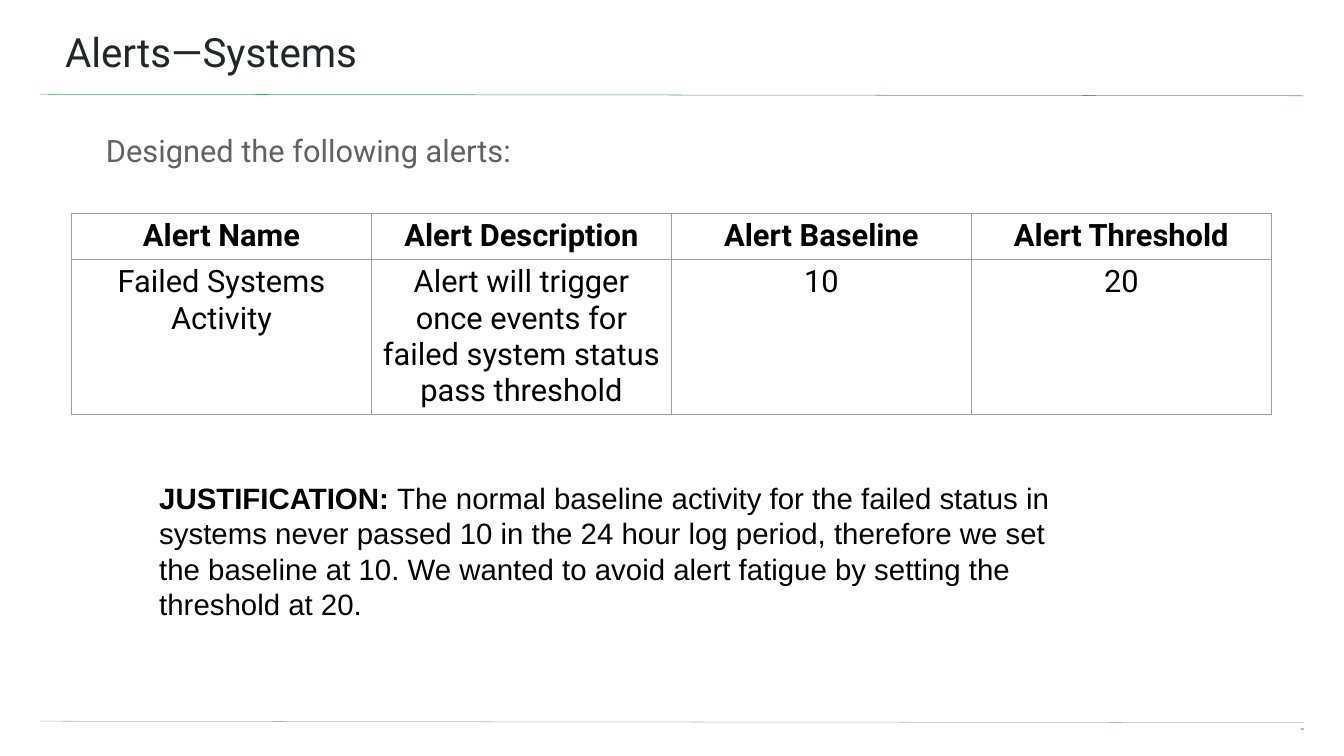
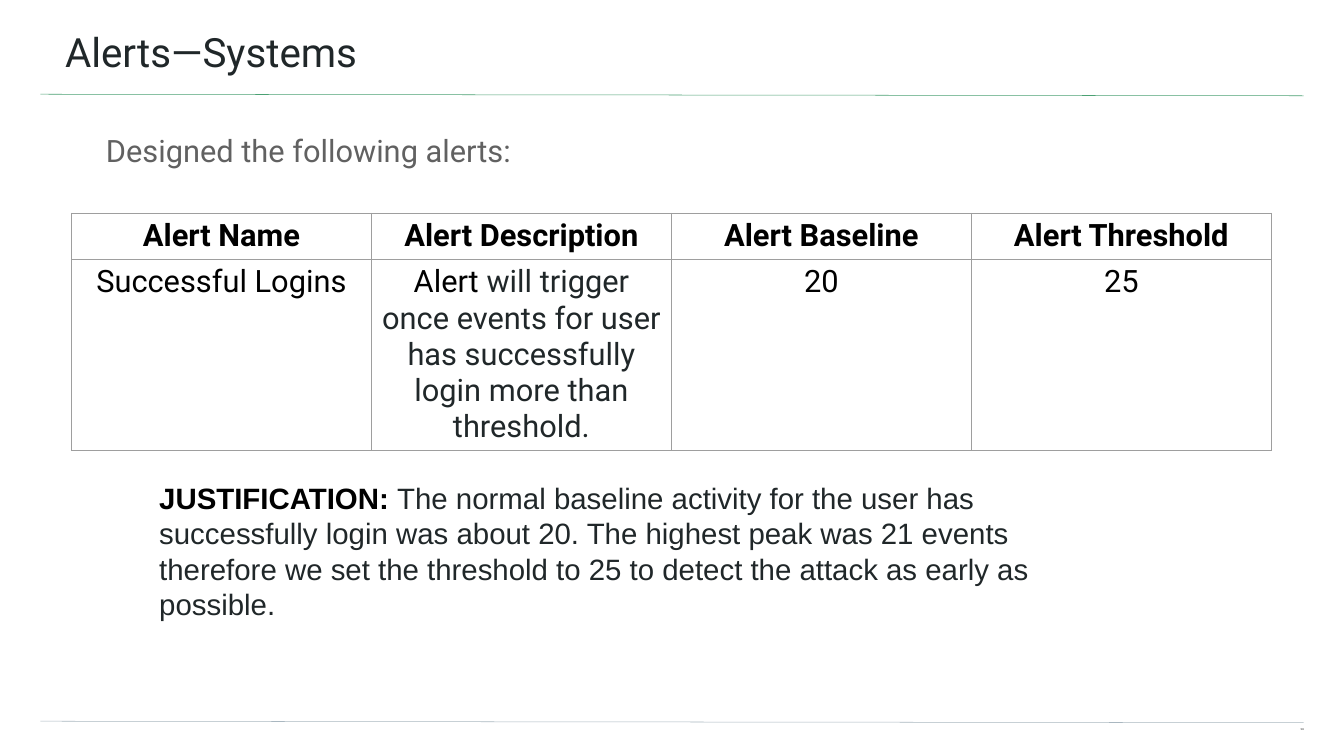
from dataclasses import dataclass

from lxml import etree
from pptx import Presentation
from pptx.dml.color import RGBColor
from pptx.enum.shapes import MSO_CONNECTOR
from pptx.enum.text import MSO_ANCHOR, MSO_AUTO_SIZE, PP_ALIGN
from pptx.oxml.ns import qn
from pptx.slide import Slide
from pptx.table import _Cell
from pptx.text.text import TextFrame
from pptx.util import Pt

STRAIGHT = MSO_CONNECTOR.STRAIGHT
LEFT, CENTER, RIGHT = PP_ALIGN.LEFT, PP_ALIGN.CENTER, PP_ALIGN.RIGHT
TOP = MSO_ANCHOR.TOP
GROW, FIXED = MSO_AUTO_SIZE.SHAPE_TO_FIT_TEXT, MSO_AUTO_SIZE.NONE

BLACK = RGBColor(0x00, 0x00, 0x00)
INK = RGBColor(0x20, 0x27, 0x29)
GREY = RGBColor(0x61, 0x61, 0x61)
GREEN = RGBColor(0x4B, 0xA1, 0x73)
SLATE = RGBColor(0xA9, 0xB7, 0xC0)
BORDER = RGBColor(0x9E, 0x9E, 0x9E)

RULE_WIDTH = Pt(0.75)
CELL_INSET = Pt(7.2)
COLUMN_WIDTH = Pt(428.4)
ROW_HEIGHTS = (Pt(30.24), Pt(66.96))
TABLE_LEFT, TABLE_TOP = Pt(102.24), Pt(304.56)
HEADINGS = ("Alert Name", "Alert Description", "Alert Baseline", "Alert Threshold")


@dataclass(frozen=True)
class Span:
    text: str
    size: float
    font: str = "Roboto"
    color: RGBColor = BLACK
    bold: bool = False


@dataclass(frozen=True)
class Box:
    """Place of a text box, its insets (left, top, right, bottom) and layout, in points."""
    left: float
    top: float
    width: float
    height: float
    insets: tuple[float, float, float, float]
    align: PP_ALIGN = LEFT
    line_spacing: float = 1.0
    auto_size: MSO_AUTO_SIZE = FIXED


@dataclass(frozen=True)
class Rule:
    start_y: float
    end_y: float
    color: RGBColor


@dataclass(frozen=True)
class Alert:
    page: str
    name: str
    description: tuple[Span, ...]
    baseline: str
    threshold: str
    justification: Span


TITLE = Box(-2.88, 0, 1924.56, 112.32, (95.76, 38.16, 57.6, 19.44))
PAGE_NUMBER = Box(1807.2, 1041.12, 54.72, 22.32, (0, 0, 0, 19.44), RIGHT, 0.8)
INTRO = Box(55.44, 180.72, 1806.48, 776.88, (95.76, 0, 95.76, 192.24), LEFT, 1.15)
JUSTIFICATION = Box(220.32, 678.96, 1304.64, 218.16, (7.2,) * 4, auto_size=GROW)
RULES = (Rule(134.64, 136.8, GREEN), Rule(1030.32, 1032.48, SLATE))

ALERTS = (
    Alert(
        "13",
        "Failed Systems Activity",
        (Span("Alert will trigger once events for failed system status pass threshold", 44),),
        "10",
        "20",
        Span("The normal baseline activity for the failed status in systems never passed 10 "
             "in the 24 hour log period, therefore we set the baseline at 10. We wanted to "
             "avoid alert fatigue by setting the threshold at 20.", 42, "Arial"),
    ),
    Alert(
        "14",
        "Successful Logins",
        (Span("Alert ", 44),
         Span("will trigger once events for user has successfully login more than threshold.",
              44, color=INK)),
        "20",
        "25",
        Span("The normal baseline activity for the user has successfully login was about 20. "
             "The highest peak was 21 events therefore we set the threshold to 25 to detect "
             "the attack as early as possible.", 42, "Arial", INK),
    ),
)


def write_text(frame: TextFrame, spans: tuple[Span, ...], align: PP_ALIGN,
               line_spacing: float = 1.0) -> None:
    paragraph = frame.paragraphs[0]
    paragraph.alignment = align
    paragraph.line_spacing = line_spacing
    for span in spans:
        run = paragraph.add_run()
        run.text = span.text
        run.font.name = span.font
        run.font.size = Pt(span.size)
        run.font.bold = span.bold
        run.font.color.rgb = span.color


def add_text(slide: Slide, box: Box, *spans: Span) -> None:
    shape = slide.shapes.add_textbox(Pt(box.left), Pt(box.top), Pt(box.width), Pt(box.height))
    frame = shape.text_frame
    frame.word_wrap = True
    frame.auto_size = box.auto_size
    frame.vertical_anchor = TOP
    (frame.margin_left, frame.margin_top,
     frame.margin_right, frame.margin_bottom) = map(Pt, box.insets)
    write_text(frame, spans, box.align, box.line_spacing)


def add_rule(slide: Slide, rule: Rule) -> None:
    line = slide.shapes.add_connector(
        STRAIGHT, Pt(57.6), Pt(rule.start_y), Pt(1861.92), Pt(rule.end_y))
    line.line.color.rgb = rule.color
    line.line.width = RULE_WIDTH
    etree.SubElement(line._element.spPr, qn("a:effectLst"))


def style_cell(cell: _Cell) -> None:
    cell.margin_left = cell.margin_right = CELL_INSET
    cell.margin_top = cell.margin_bottom = CELL_INSET
    cell.vertical_anchor = TOP
    properties = cell._tc.get_or_add_tcPr()
    for side in ("a:lnL", "a:lnR", "a:lnT", "a:lnB"):
        edge = etree.SubElement(properties, qn(side), w=str(int(RULE_WIDTH)))
        fill = etree.SubElement(edge, qn("a:solidFill"))
        etree.SubElement(fill, qn("a:srgbClr"), val=str(BORDER))
    cell.fill.background()


def add_alert_table(slide: Slide, alert: Alert) -> None:
    header = [(Span(heading, 44, bold=True),) for heading in HEADINGS]
    values = [(Span(alert.name, 44),), alert.description,
              (Span(alert.baseline, 44),), (Span(alert.threshold, 44),)]
    table = slide.shapes.add_table(
        len(ROW_HEIGHTS), len(HEADINGS), TABLE_LEFT, TABLE_TOP,
        COLUMN_WIDTH * len(HEADINGS), sum(ROW_HEIGHTS)).table
    table.first_row = table.horz_banding = False
    for column in table.columns:
        column.width = COLUMN_WIDTH
    for row, height, contents in zip(table.rows, ROW_HEIGHTS, (header, values)):
        row.height = height
        for cell, spans in zip(row.cells, contents):
            style_cell(cell)
            write_text(cell.text_frame, spans, CENTER)


def add_alert_slide(presentation: Presentation, alert: Alert) -> None:
    slide = presentation.slides.add_slide(presentation.slide_layouts[6])
    # Shared frame: rules, title, page number
    for rule in RULES:
        add_rule(slide, rule)
    add_text(slide, TITLE, Span("Alerts—Systems", 57.6, color=INK))
    add_text(slide, PAGE_NUMBER, Span(alert.page, 4, "Lato"))
    # Alert details
    add_text(slide, INTRO, Span("Designed the following alerts:", 44, color=GREY))
    add_alert_table(slide, alert)
    add_text(slide, JUSTIFICATION,
             Span("JUSTIFICATION: ", 42, "Arial", bold=True), alert.justification)


def main() -> None:
    presentation = Presentation()
    presentation.slide_width, presentation.slide_height = Pt(1919.52), Pt(1080)
    for alert in ALERTS:
        add_alert_slide(presentation, alert)
    presentation.save("out.pptx")


if __name__ == "__main__":
    main()
